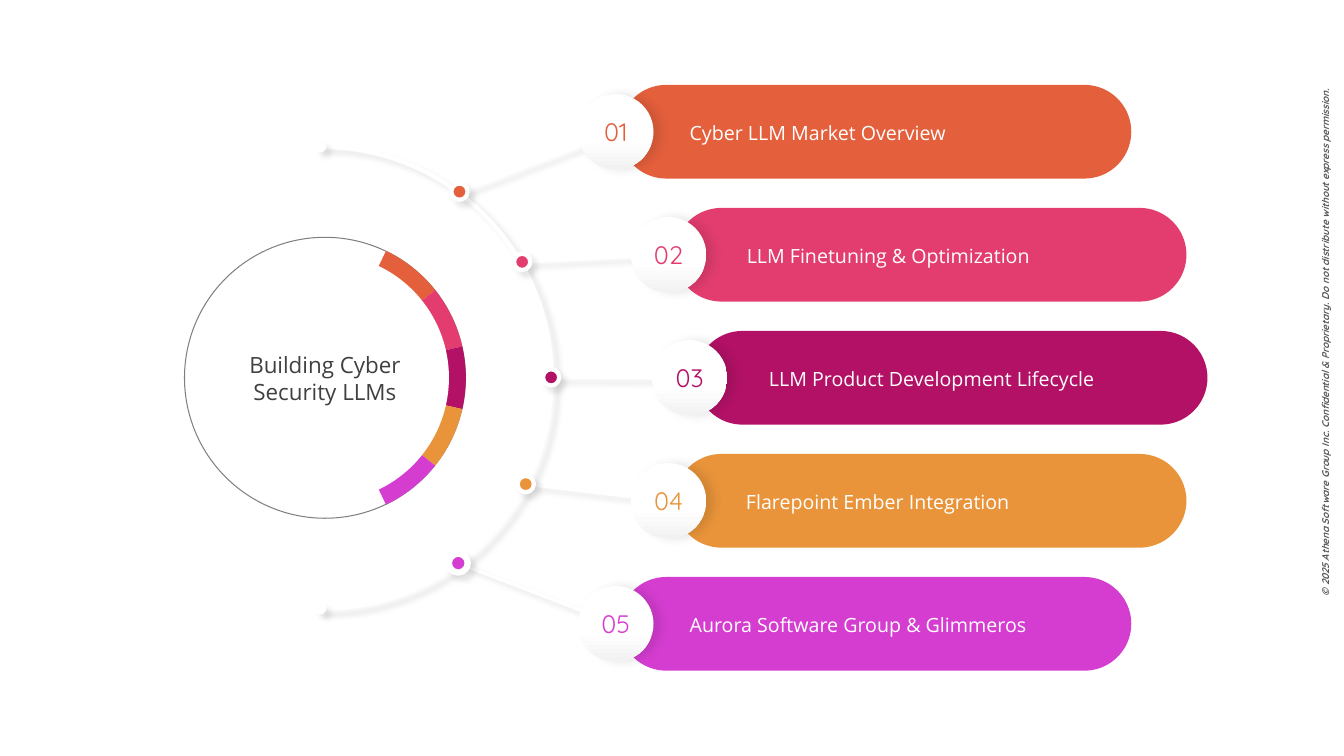
"""Builds the agenda slide: a central topic with five branches."""
from dataclasses import dataclass
from math import cos, radians, sin, tan
from typing import Optional, Union

from lxml.etree import Element, SubElement
from pptx import Presentation
from pptx.dml.color import RGBColor
from pptx.enum.shapes import MSO_CONNECTOR, MSO_SHAPE
from pptx.enum.text import MSO_ANCHOR, MSO_AUTO_SIZE, PP_ALIGN
from pptx.oxml.ns import qn
from pptx.shapes.autoshape import Shape
from pptx.shapes.connector import Connector
from pptx.slide import Slide
from pptx.text.text import TextFrame
from pptx.util import Cm, Pt

Point = tuple[float, float]


@dataclass(frozen=True)
class Theme:
    white: str = "FFFFFF"
    shade: str = "F2F2F2"
    ring: str = "808080"
    title: str = "404040"
    notice: str = "595959"
    shadow: str = "000000"
    body_font: str = "Open Sans"
    number_font: str = "Quicksand"
    title_size: float = 16
    label_size: float = 14
    number_size: float = 18
    notice_size: float = 7


@dataclass(frozen=True)
class Shadow:
    blur: float
    dist: float
    angle: int


@dataclass(frozen=True)
class Branch:
    label: str
    color: str
    pill_left: float
    badge_x: float
    label_left: float
    dot: Point
    dot_size: float = 0.41
    dot_line: float = 3


THEME = Theme()
SOFT, SIDE = Shadow(4, 5, 45), Shadow(7, 5, 0)
HUB: Point = (8.19, 9.52)
ARC_CENTER: Point = (8.08, 9.52)
ARC_RADIUS, WEDGE_RADIUS = 5.82, 3.55
WEDGE_ANGLE = 180 / 7
PITCH = 3.1
PILL_W, PILL_H = 12.9, 2.36
LABEL_W, LABEL_H = 9.55, 0.64
BRANCHES = [
    Branch("Cyber LLM Market Overview", "E45F3C", 15.61, 15.52, 17.38, (11.58, 4.83)),
    Branch("LLM Finetuning & Optimization", "E33D6F", 17, 16.85, 18.82, (13.16, 6.6)),
    Branch("LLM Product Development Lifecycle", "B31166", 17.53, 17.38, 19.38, (13.89, 9.51)),
    Branch("Flarepoint Ember Integration", "E9943A", 17, 16.85, 18.8, (13.25, 12.2)),
    Branch("Aurora Software Group & Glimmeros", "D53DD0", 15.61, 15.52, 17.38,
           (11.55, 14.19), 0.48, 4.5),
]
NOTICE = ("© 2025 Athena Software Group Inc. Confidential & Proprietary. "
          "Do not distribute without express permission.")


def rgb(color: str) -> RGBColor:
    """Turn a hex string into a colour."""
    return RGBColor.from_string(color)


def set_shadow(sp: Union[Shape, Connector], shadow: Optional[Shadow]) -> None:
    """Give a shape an explicit shadow, or none."""
    effects = SubElement(sp._element.spPr, qn("a:effectLst"))
    if shadow:
        outer = SubElement(effects, qn("a:outerShdw"), blurRad=str(Pt(shadow.blur)),
                           dist=str(Pt(shadow.dist)), dir=str(shadow.angle * 60000))
        color = SubElement(outer, qn("a:srgbClr"), val=THEME.shadow)
        SubElement(color, qn("a:alpha"), val="10000")


def style(sp: Shape, fill: Optional[str] = None, line: Optional[str] = None,
          width: float = 0, shadow: Optional[Shadow] = None) -> Shape:
    """Set the fill, outline and shadow of a shape."""
    if fill:
        sp.fill.solid()
        sp.fill.fore_color.rgb = rgb(fill)
    else:
        sp.fill.background()
    if line:
        sp.line.color.rgb = rgb(line)
        sp.line.width = Pt(width)
    else:
        sp.line.fill.background()
    set_shadow(sp, shadow)
    return sp


def circle(s: Slide, center: Point, size: float) -> Shape:
    """Add a circle around a centre."""
    left, top = (Cm(c - size / 2) for c in center)
    return s.shapes.add_shape(MSO_SHAPE.OVAL, left, top, Cm(size), Cm(size))


def curve(s: Slide, center: Point, radius: float, start: float, step: float,
          count: int, wedge: bool = False) -> Shape:
    """Add an arc of Bezier curves, closed through its centre for a wedge."""
    handle = 4 / 3 * tan(radians(step) / 4)

    def at(angle: float, pull: float) -> tuple[Cm, Cm]:
        """Return a rim point, pulled along its tangent."""
        a = radians(angle)
        return (Cm(center[0] + radius * (cos(a) - pull * sin(a))),
                Cm(center[1] + radius * (sin(a) + pull * cos(a))))

    points = []
    for a in (start + k * step for k in range(count)):
        points += [at(a, handle), at(a + step, -handle), at(a + step, 0)]
    if wedge:
        points.append((Cm(center[0]), Cm(center[1])))
    builder = s.shapes.build_freeform(*at(start, 0))
    builder.add_line_segments(points, close=wedge)
    sp = builder.convert_to_shape()
    lines = list(sp._element.iter(qn("a:lnTo")))
    for k in range(0, 3 * count, 3):
        cubic = Element(qn("a:cubicBezTo"))
        lines[k].addprevious(cubic)
        for line in lines[k:k + 3]:
            cubic.append(line[0])
            line.getparent().remove(line)
    return sp


def write(tf: TextFrame, text: str, font: str, size: float, color: str,
          align: PP_ALIGN = PP_ALIGN.CENTER, inset: Optional[float] = None) -> None:
    """Write one paragraph, centred vertically."""
    tf.word_wrap = True
    tf.vertical_anchor = MSO_ANCHOR.MIDDLE
    if inset is not None:
        tf.margin_left = tf.margin_right = tf.margin_top = tf.margin_bottom = Cm(inset)
    p = tf.paragraphs[0]
    p.text, p.alignment = text, align
    p.font.name, p.font.size = font, Pt(size)
    p.font.color.rgb = rgb(color)


def add_branch(s: Slide, i: int, b: Branch) -> None:
    """Draw a branch's link, pill, numbered badge and label."""
    y = HUB[1] + (i - 2) * PITCH
    link = s.shapes.add_connector(MSO_CONNECTOR.STRAIGHT, *map(Cm, (*b.dot, b.badge_x, y)))
    link.line.color.rgb = rgb(THEME.white)
    link.line.width = Pt(2.25)
    set_shadow(link, SOFT)
    pill = s.shapes.add_shape(MSO_SHAPE.ROUNDED_RECTANGLE, Cm(b.pill_left),
                              Cm(y - PILL_H / 2), Cm(PILL_W), Cm(PILL_H))
    pill.adjustments[0] = 0.5
    style(pill, b.color)
    badge = style(circle(s, (b.badge_x, y), 1.9), THEME.white, shadow=SIDE)
    badge.fill.gradient()
    badge.fill.gradient_angle = 270
    for stop, at, color in zip(badge.fill.gradient_stops, (0.61, 1), (THEME.white, THEME.shade)):
        stop.position, stop.color.rgb = at, rgb(color)
    write(badge.text_frame, f"{i + 1:02}", THEME.number_font, THEME.number_size, b.color, inset=0)
    tf = s.shapes.add_textbox(Cm(b.label_left), Cm(y - LABEL_H / 2),
                              Cm(LABEL_W), Cm(LABEL_H)).text_frame
    write(tf, b.label, THEME.body_font, THEME.label_size, THEME.white, PP_ALIGN.LEFT, 0)
    tf.paragraphs[0].line_spacing = 1.1
    tf.auto_size = MSO_AUTO_SIZE.SHAPE_TO_FIT_TEXT


def add_hub(s: Slide) -> None:
    """Draw the outer arc, its dots, the wedges and the title disc."""
    style(curve(s, ARC_CENTER, ARC_RADIUS, -90, 90, 2), None, THEME.white, 3, SOFT)
    for y in (ARC_CENTER[1] - ARC_RADIUS, ARC_CENTER[1] + ARC_RADIUS):
        style(circle(s, (ARC_CENTER[0], y), 0.28), THEME.white, shadow=SOFT)
    for i, b in enumerate(BRANCHES):
        style(circle(s, b.dot, b.dot_size), b.color, THEME.white, b.dot_line, SOFT)
        style(curve(s, HUB, WEDGE_RADIUS, (i - 2.5) * WEDGE_ANGLE, WEDGE_ANGLE, 1, True), b.color)
    disc = style(circle(s, HUB, 6.25), THEME.white)
    write(disc.text_frame, "Building Cyber Security LLMs", THEME.body_font,
          THEME.title_size, THEME.title)


def main() -> None:
    """Build and save the slide."""
    prs = Presentation()
    prs.slide_width, prs.slide_height = Cm(33.87), Cm(19.05)
    s = prs.slides.add_slide(prs.slide_layouts[6])
    box = s.shapes.add_textbox(Cm(25.83), Cm(8.15), Cm(15.14), Cm(0.97))
    box.rotation = 270
    write(box.text_frame, NOTICE, THEME.number_font, THEME.notice_size, THEME.notice)
    font = box.text_frame.paragraphs[0].font
    font.bold = font.italic = True
    style(circle(s, HUB, 7.08), line=THEME.ring, width=0.75)
    for i, b in enumerate(BRANCHES):
        add_branch(s, i, b)
    add_hub(s)
    prs.save("out.pptx")


if __name__ == "__main__":
    main()
